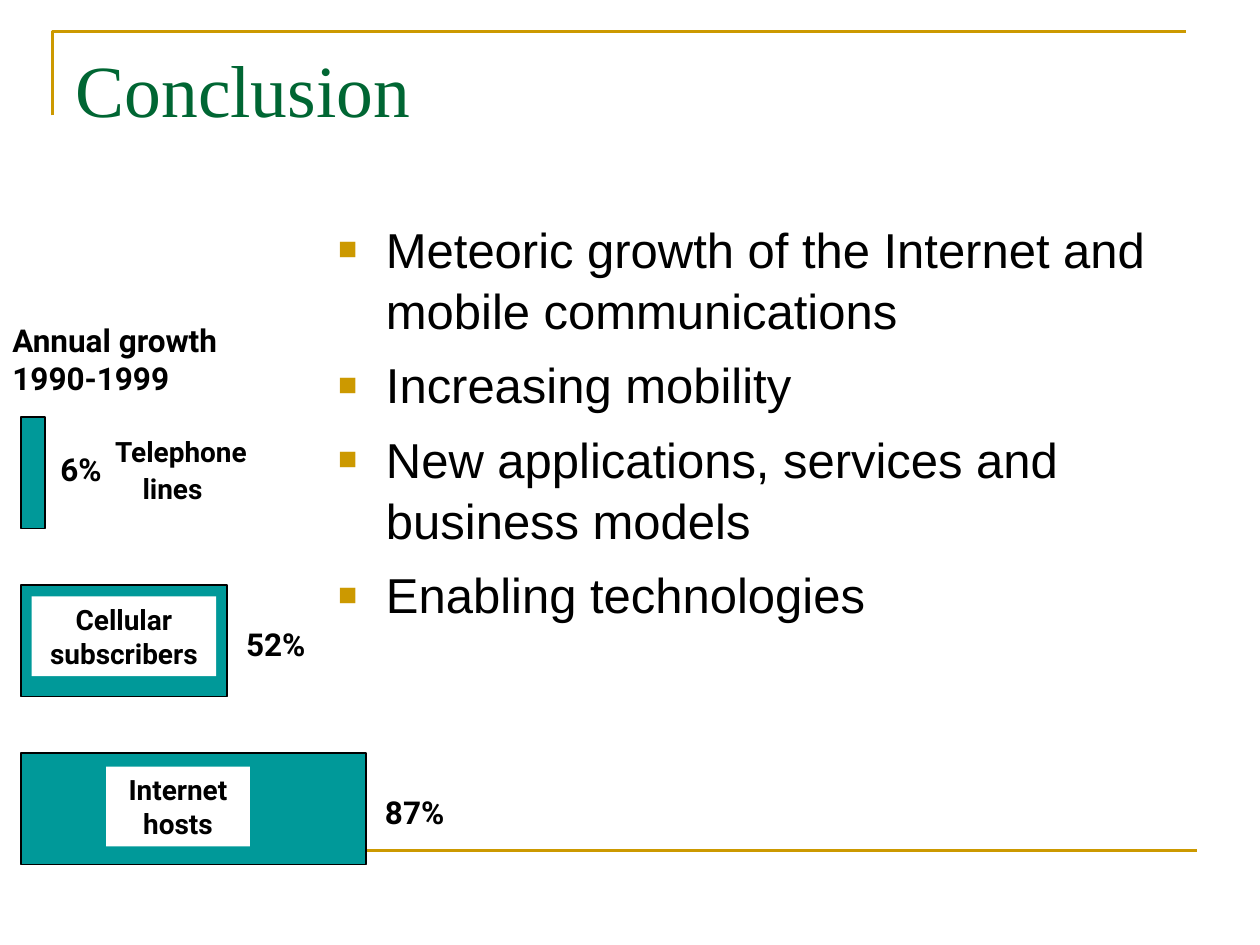
from lxml.etree import SubElement
from pptx import Presentation
from pptx.dml.color import RGBColor
from pptx.enum.shapes import MSO_CONNECTOR, MSO_SHAPE
from pptx.enum.text import MSO_ANCHOR, MSO_AUTO_SIZE, PP_ALIGN
from pptx.oxml.ns import qn
from pptx.util import Inches, Pt

# Every length counts cells of a 120 x 90 grid, 12 cells to the inch.
COLUMNS, ROWS = 120, 90
GOLD, GREEN, TEAL = "CC9900", "006633", "009999"
BLACK, WHITE = "000000", "FFFFFF"

BAR_LEFT, BAR_TOP, BAR_HEIGHT, BAR_PITCH = 2, 39.7, 10.65, 16
CELLS_PER_PERCENT = 0.378
# percent, label gap after the bar, label drop below its top, label width
GROWTH = [(6, 0.3, 2.6, 6.8), (52, 0.6, 3.2, 8.5), (87, 0.6, 3.2, 8.5)]
POINTS = [
    "Meteoric growth of the Internet and mobile communications",
    "Increasing mobility",
    "New applications, services and business models",
    "Enabling technologies",
]


def cells(*counts):
    return [Inches(count / 12) for count in counts]


def color(hex_string):
    return RGBColor.from_string(hex_string)


def place(shape, area):
    shape.left, shape.top, shape.width, shape.height = cells(*area)


def style_line(line, hex_string, width):
    line.color.rgb = color(hex_string)
    line.width = Pt(width)


def write(paragraph, text, size=18, font="Roboto", ink=BLACK, bold=True,
          align=PP_ALIGN.LEFT, before=0, spacing=None):
    paragraph.text = text
    paragraph.alignment = align
    paragraph.space_before = Pt(before)
    paragraph.line_spacing = spacing
    paragraph.font.size = Pt(size)
    paragraph.font.name = font
    paragraph.font.bold = bold
    paragraph.font.color.rgb = color(ink)


def add_bullet(paragraph):
    """Give the paragraph a hanging indent and a small gold square."""
    properties = paragraph._p.get_or_add_pPr()
    indent = Inches(0.38)
    properties.set("marL", str(indent))
    properties.set("indent", str(-indent))
    tint = SubElement(properties, qn("a:buClr"))
    SubElement(tint, qn("a:srgbClr"), val=GOLD)
    SubElement(properties, qn("a:buSzPct"), val="65000")
    SubElement(properties, qn("a:buFont"), typeface="Arial")
    SubElement(properties, qn("a:buChar"), char="■")


def add_label(slide, text, area, wrap=False, **text_format):
    label = slide.shapes.add_textbox(*cells(*area))
    label.text_frame.word_wrap = wrap
    write(label.text_frame.paragraphs[0], text, **text_format)


def add_box(slide, area, fill, outline=None):
    box = slide.shapes.add_shape(MSO_SHAPE.RECTANGLE, *cells(*area))
    box.shadow.inherit = False
    box.fill.solid()
    box.fill.fore_color.rgb = color(fill)
    if outline:
        style_line(box.line, outline, 1)
    else:
        box.line.fill.background()
    return box


def add_plate(slide, text, area):
    """Add a white rectangle with a centred bar name."""
    frame = add_box(slide, area, WHITE).text_frame
    frame.word_wrap = False
    frame.vertical_anchor = MSO_ANCHOR.TOP
    write(frame.paragraphs[0], text, size=16, align=PP_ALIGN.CENTER)


def add_rules(slide):
    """Add the gold corner above the title and the gold line at the foot."""
    builder = slide.shapes.build_freeform(*cells(5, 11))
    builder.add_line_segments([cells(5, 3), cells(113, 3)], close=False)
    corner = builder.convert_to_shape()
    corner.shadow.inherit = False
    corner.fill.background()
    style_line(corner.line, GOLD, 1.5)

    foot = slide.shapes.add_connector(
        MSO_CONNECTOR.STRAIGHT, *cells(6, 81, 114, 81))
    style_line(foot.line, GOLD, 1.5)
    SubElement(foot._element.spPr, qn("a:effectLst"))


def fill_title(title):
    place(title, (6, 3.6, 108, 15))
    title.text_frame.vertical_anchor = MSO_ANCHOR.TOP
    title.text_frame.auto_size = MSO_AUTO_SIZE.NONE
    write(title.text_frame.paragraphs[0], "Conclusion", size=42,
          font="Times New Roman", ink=GREEN, bold=False)


def fill_points(body):
    place(body, (31, 20, 89, 54))
    frame = body.text_frame
    frame.auto_size = MSO_AUTO_SIZE.NONE
    for index, point in enumerate(POINTS):
        paragraph = frame.add_paragraph() if index else frame.paragraphs[0]
        add_bullet(paragraph)
        write(paragraph, point, size=28, font="Arial", bold=False,
              before=7 if index else 0, spacing=1.05)


def add_growth_bars(slide):
    for row, (percent, gap, drop, label_width) in enumerate(GROWTH):
        top = BAR_TOP + row * BAR_PITCH
        width = percent * CELLS_PER_PERCENT
        add_box(slide, (BAR_LEFT, top, width, BAR_HEIGHT), TEAL, BLACK)
        add_label(slide, f"{percent}%",
                  (BAR_LEFT + width + gap, top + drop, label_width, 4.8))
    add_label(slide, "Telephone", (9.8, 40.8, 16.3, 4.4), size=16)
    add_label(slide, "lines", (12.4, 44.3, 8.6, 4.4), size=16)
    add_plate(slide, "Cellular\nsubscribers", (3, 56.8, 17.6, 7.6))
    add_plate(slide, "Internet\nhosts", (10.1, 73, 13.7, 7.6))
    add_label(slide, "Annual growth 1990-1999", (0, 30, 27, 8.4), wrap=True)


def main():
    deck = Presentation()
    deck.slide_width, deck.slide_height = cells(COLUMNS, ROWS)
    slide = deck.slides.add_slide(deck.slide_layouts[1])
    add_rules(slide)
    fill_title(slide.shapes.title)
    fill_points(slide.placeholders[1])
    add_growth_bars(slide)
    deck.save("out.pptx")


if __name__ == "__main__":
    main()
